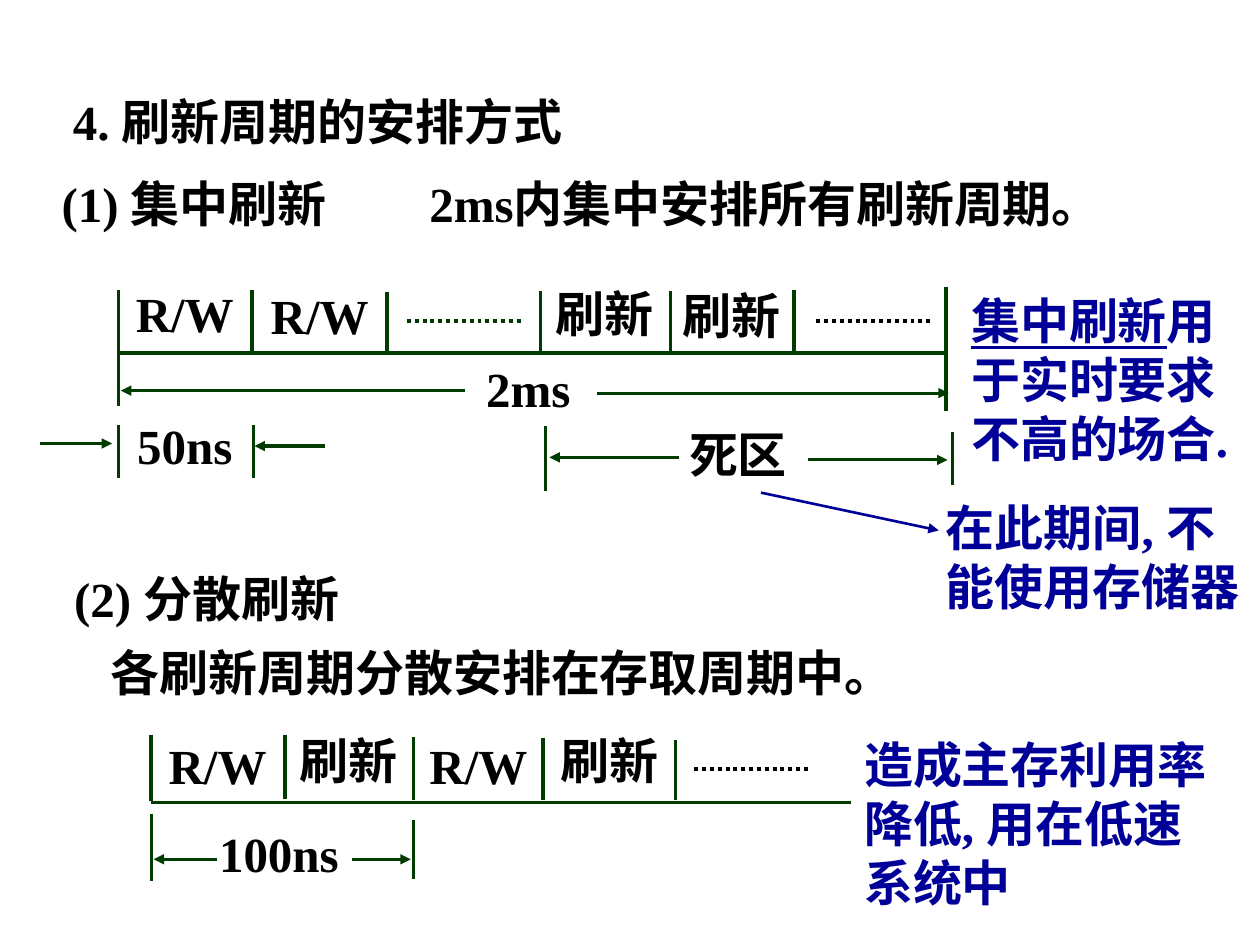
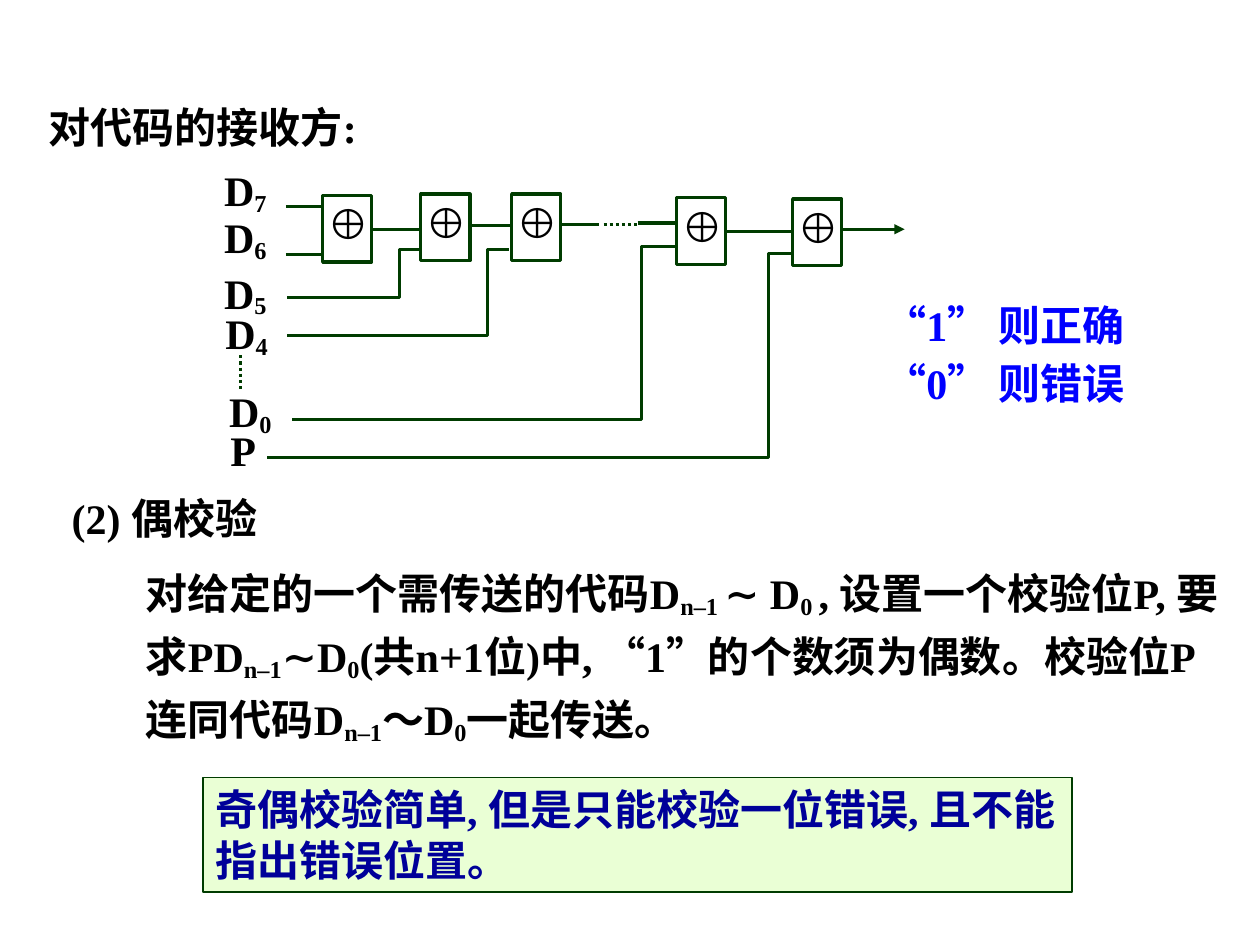
"""Builds two slides on memory refresh timing and parity checking."""
from typing import NamedTuple

from lxml.etree import SubElement
from pptx import Presentation
from pptx.dml.color import RGBColor
from pptx.enum.dml import MSO_LINE
from pptx.enum.lang import MSO_LANGUAGE_ID as Lang
from pptx.enum.shapes import MSO_CONNECTOR as Link, MSO_SHAPE as Shape
from pptx.enum.text import MSO_ANCHOR as Anchor, MSO_AUTO_SIZE as Fit, PP_ALIGN as Align
from pptx.oxml.ns import qn
from pptx.util import Inches, Pt

BLACK = RGBColor(0, 0, 0)
GREEN = RGBColor(0x00, 0x3C, 0x00)
NAVY = RGBColor(0x00, 0x00, 0x99)
BLUE = RGBColor(0x00, 0x00, 0xFF)
PALE = RGBColor(0xEA, 0xFF, 0xD5)
FACE = "Times New Roman"
DOT = MSO_LINE.ROUND_DOT
BOLD = 2
THIN = 1.75


class Label(NamedTuple):
    """Text with its place."""
    text: str
    left: float
    top: float
    width: float
    high: float = 0.57


class Line(NamedTuple):
    """Straight line with its ends, weight and arrowhead."""
    x1: float
    y1: float
    x2: float
    y2: float
    weight: float = THIN
    arrow: bool = False
    dash: MSO_LINE | None = None
    color: RGBColor = GREEN


class Gate(NamedTuple):
    """Place of one XOR gate."""
    left: float
    top: float


class Wire(NamedTuple):
    """Bent wire from a gate input down to its source."""
    gate: float
    y1: float
    bend: float
    y2: float
    start: float


def fill_text(frame, text: str, *, size: float = 28, color: RGBColor = BLACK, sub: int = 0,
              under: bool = False, wrap: bool = True, lead: float | None = None,
              gap: float = 0) -> None:
    """Write lines of text; parts at odd places between bars take the special format."""
    frame.word_wrap = wrap
    frame.auto_size = Fit.SHAPE_TO_FIT_TEXT
    frame.vertical_anchor = Anchor.TOP
    for row, words in enumerate(text.split("\n")):
        para = frame.add_paragraph() if row else frame.paragraphs[0]
        para.alignment = Align.LEFT
        if lead:
            para.line_spacing = lead
        if row:
            para.space_before = Pt(gap)
        for place, part in enumerate(words.split("|")):
            if not part:
                continue
            run = para.add_run()
            run.text = part
            font = run.font
            font.name, font.size, font.bold = FACE, Pt(size), True
            font.color.rgb = color
            font.language_id = Lang.SIMPLIFIED_CHINESE
            if place % 2 and under:
                font.underline = True
            if place % 2 and sub:
                run._r.get_or_add_rPr().set("baseline", str(sub * 1000))


def add_text(slide, label: Label, **form) -> None:
    """Add a text box."""
    box = slide.shapes.add_textbox(*map(Inches, label[1:]))
    fill_text(box.text_frame, label.text, **form)


def add_line(slide, line: Line) -> None:
    """Add a line, with an arrowhead at its end if asked."""
    ends = map(Inches, line[:4])
    link = slide.shapes.add_connector(Link.STRAIGHT, *ends)
    link.line.color.rgb = line.color
    link.line.width = Pt(line.weight)
    if line.dash:
        link.line.dash_style = line.dash
    if line.arrow:
        SubElement(link.line._get_or_add_ln(), qn("a:tailEnd"), type="triangle")
    SubElement(link._element.spPr, qn("a:effectLst"))


def style(shape, weight: float, fill: RGBColor | None = None) -> None:
    """Give a shape its outline and fill."""
    shape.shadow.inherit = False
    shape.line.color.rgb = GREEN
    shape.line.width = Pt(weight)
    if fill is None:
        shape.fill.background()
    else:
        shape.fill.solid()
        shape.fill.fore_color.rgb = fill


def add_gate(slide, gate: Gate) -> None:
    """Add an XOR gate with its sign."""
    add_text(slide, Label("⊕", gate.left - 0.06, gate.top - 0.03, 0.46, 0.51),
             size=24, wrap=False)
    box = slide.shapes.add_shape(Shape.RECTANGLE, Inches(gate.left), Inches(gate.top),
                                 Inches(0.39), Inches(0.53))
    style(box, THIN)


def add_wire(slide, wire: Wire) -> None:
    """Add a bent wire."""
    pen = slide.shapes.build_freeform(Inches(wire.gate), Inches(wire.y1))
    turns = [(wire.bend, wire.y1), (wire.bend, wire.y2), (wire.start, wire.y2)]
    pen.add_line_segments([(Inches(x), Inches(y)) for x, y in turns], close=False)
    style(pen.convert_to_shape(), THIN)


HEADS = [
    Label("4. 刷新周期的安排方式", 0.48, 0.68, 5.43),
    Label("(1) 集中刷新", 0.39, 1.33, 2.95),
    Label("2ms内集中安排所有刷新周期。", 3.31, 1.33, 6.47),
    Label("(2) 分散刷新", 0.49, 4.46, 2.8),
    Label("各刷新周期分散安排在存取周期中。", 0.78, 5.05, 7.42),
]
CELLS = [
    Label("R/W", 0.98, 2.2, 1.16), Label("R/W", 2.05, 2.22, 1.11),
    Label("刷新", 4.31, 2.2, 1.13), Label("刷新", 5.32, 2.22, 1.06),
    Label("R/W", 1.24, 5.79, 1.12), Label("刷新", 2.28, 5.75, 1.07),
    Label("R/W", 3.31, 5.79, 1.12), Label("刷新", 4.35, 5.75, 1.12),
]
SPANS = [
    Label("2ms", 3.76, 2.8, 1.23), Label("50ns", 0.99, 3.25, 0.98),
    Label("死区", 5.37, 3.32, 1.15), Label("100ns", 1.64, 6.49, 1.42),
]
NOTES = [
    Label("|集中刷新|用于实时要求不高的场合.", 7.61, 2.26, 2.36, 1.5),
    Label("在此期间, 不能使用存储器", 7.41, 3.9, 2.64, 1.03),
    Label("造成主存利用率降低, 用在低速系统中", 6.76, 5.78, 3, 1.51),
]
AXES = [Line(0.94, 2.8, 7.49, 2.8, BOLD), Line(1.2, 6.37, 6.75, 6.37, BOLD)]
TICKS = [
    (0.94, 2.3, 3.22), (2, 2.3, 2.79), (3.07, 2.32, 2.8), (4.29, 2.31, 2.8),
    (5.32, 2.31, 2.8), (6.3, 2.3, 2.8), (7.51, 2.28, 3.26),
    (1.2, 5.83, 6.36), (2.26, 5.83, 6.34), (3.28, 5.85, 6.35),
    (4.31, 5.86, 6.35), (5.36, 5.87, 6.35),
]
STOPS = [
    (0.94, 3.37, 3.79), (2.01, 3.37, 3.79), (4.33, 3.38, 3.9),
    (7.56, 3.43, 3.85), (1.2, 6.46, 6.99), (3.28, 6.51, 6.98),
]
ARROWS = [
    (3.69, 0.96, 3.1), (4.74, 7.53, 3.12), (0.32, 0.89, 3.52), (2.58, 2.02, 3.54),
    (5.39, 4.36, 3.63), (6.41, 7.52, 3.65), (1.72, 1.22, 6.82), (2.79, 3.26, 6.82),
]
DOTS = [
    Line(3.23, 2.55, 4.15, 2.55, 2.25, dash=DOT),
    Line(6.48, 2.55, 7.39, 2.55, 2.25, dash=DOT, color=BLACK),
    Line(5.51, 6.1, 6.42, 6.1, 2.25, dash=DOT, color=BLACK),
]

INPUTS = [
    Label("D|7", 1.68, 1.26, 0.91, 0.51), Label("D|6", 1.68, 1.63, 0.91, 0.51),
    Label("D|5", 1.68, 2.07, 0.56, 0.51), Label("D|4", 1.69, 2.39, 0.75, 0.51),
    Label("D|0", 1.72, 3.01, 0.91, 0.51), Label("P", 1.73, 3.32, 0.41, 0.51),
]
GATES = [Gate(2.56, 1.55), Gate(3.34, 1.54), Gate(4.06, 1.54),
         Gate(5.37, 1.57), Gate(6.29, 1.58)]
WIRES = [
    Wire(3.34, 1.98, 3.17, 2.36, 2.28), Wire(4.04, 1.98, 3.87, 2.66, 2.28),
    Wire(5.38, 1.96, 5.09, 3.33, 2.32), Wire(6.28, 2.01, 6.1, 3.63, 2.12),
]
LEADS = [
    (2.27, 2.56, 1.64), (2.27, 2.57, 2.02), (2.95, 3.33, 1.82), (3.73, 4.05, 1.79),
    (4.45, 4.75, 1.78), (5.06, 5.36, 1.77), (5.77, 6.29, 1.84),
]
LINKS = [
    Line(4.79, 1.78, 5.06, 1.78, dash=DOT), Line(1.91, 2.82, 1.91, 3.1, dash=DOT),
    Line(6.68, 1.82, 7.18, 1.82, arrow=True),
]
RULE = ("对给定的一个需传送的代码D|n–1 |∼ D|0 |, 设置一个校验位P, 要求PD|n–1|∼D|0|"
        "(共n+1位)中, “1”的个数须为偶数。校验位P连同代码D|n–1|～D|0|一起传送。")


def draw_refresh(slide) -> None:
    """Draw the refresh timing slide."""
    for label in HEADS + CELLS + SPANS:
        add_text(slide, label)
    for label in NOTES:
        add_text(slide, label, color=NAVY, under=True)
    lines = AXES + DOTS
    lines += [Line(x, y1, x, y2, BOLD) for x, y1, y2 in TICKS]
    lines += [Line(x, y1, x, y2) for x, y1, y2 in STOPS]
    lines += [Line(x1, y, x2, y, arrow=True) for x1, x2, y in ARROWS]
    lines.append(Line(6.04, 3.91, 7.45, 4.21, 1.5, True, color=NAVY))
    for line in lines:
        add_line(slide, line)


def draw_check(slide) -> None:
    """Draw the parity check slide."""
    add_text(slide, Label("对代码的接收方:", 0.29, 0.76, 3.45, 0.5), size=24)
    add_text(slide, Label("(2) 偶校验", 0.47, 3.86, 4.91, 0.5), size=24)
    add_text(slide, Label("“1” 则正确\n“0” 则错误", 6.92, 2.33, 2.96, 0.97),
             size=24, color=BLUE, gap=4)
    add_text(slide, Label(RULE, 1.06, 4.37, 8.81, 1.51), size=24, sub=-14, lead=1.2)
    for label in INPUTS:
        add_text(slide, label, size=24, sub=-14, wrap=False)
    for gate in GATES:
        add_gate(slide, gate)
    for wire in WIRES:
        add_wire(slide, wire)
    for line in [Line(x1, y, x2, y) for x1, x2, y in LEADS] + LINKS:
        add_line(slide, line)
    box = slide.shapes.add_shape(Shape.RECTANGLE, Inches(1.61), Inches(6.17),
                                 Inches(6.9), Inches(0.91))
    style(box, 1, PALE)
    fill_text(box.text_frame, "奇偶校验简单, 但是只能校验一位错误, 且不能指出错误位置。",
              size=24, color=NAVY)


def main() -> None:
    """Build and save the deck."""
    deck = Presentation()
    deck.slide_width, deck.slide_height = Inches(10), Inches(7.5)
    for draw in (draw_refresh, draw_check):
        draw(deck.slides.add_slide(deck.slide_layouts[6]))
    deck.save("out.pptx")


if __name__ == "__main__":
    main()
